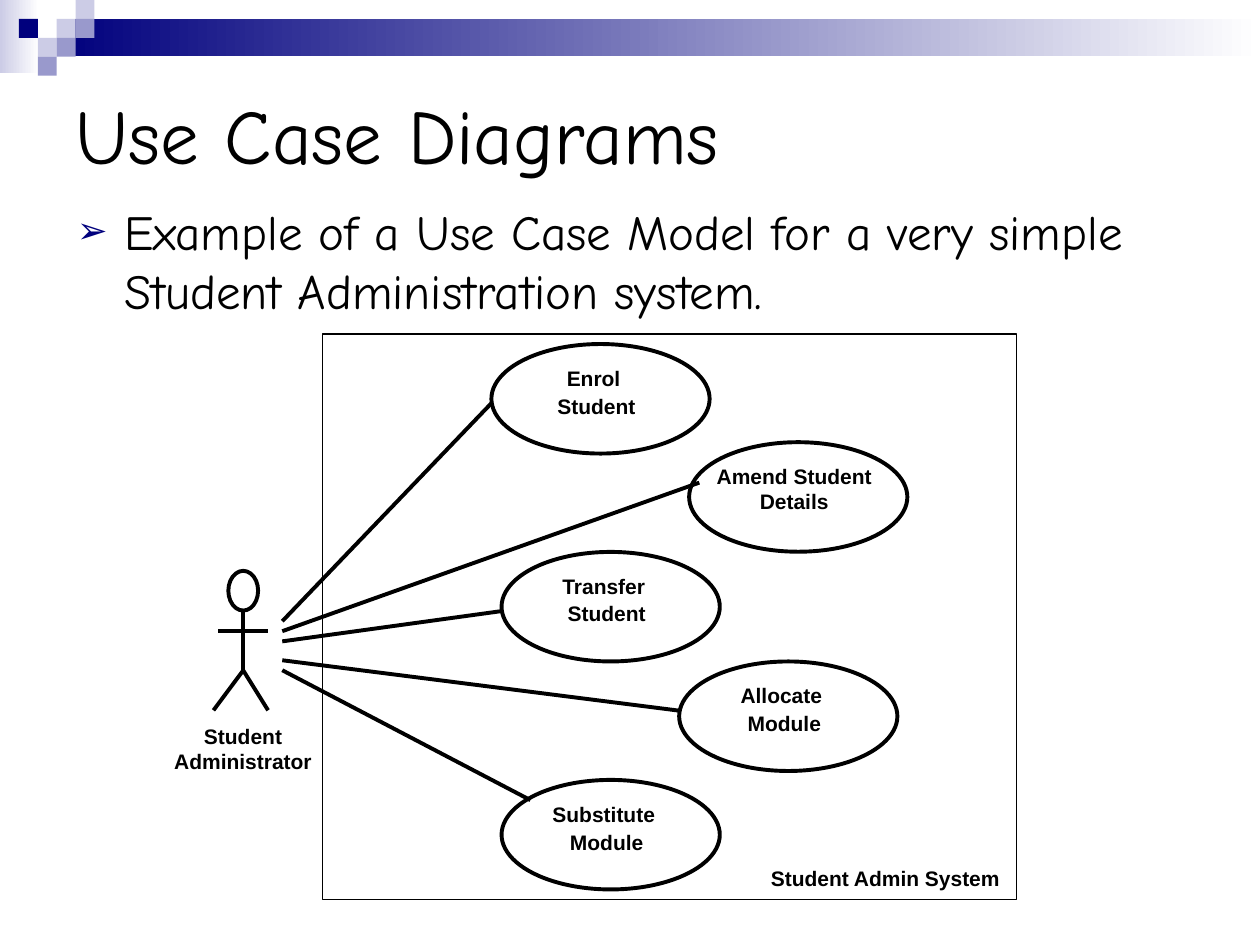
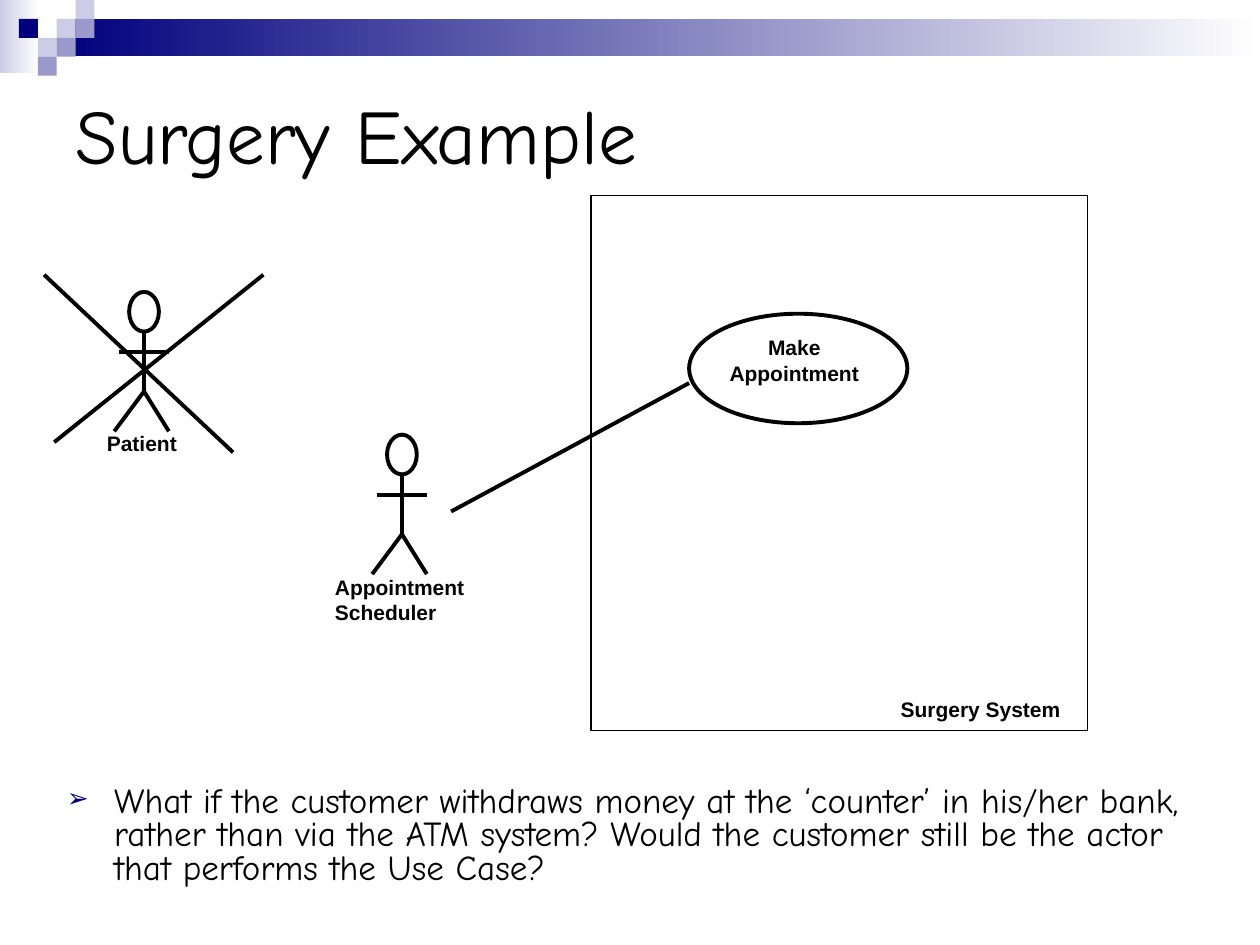
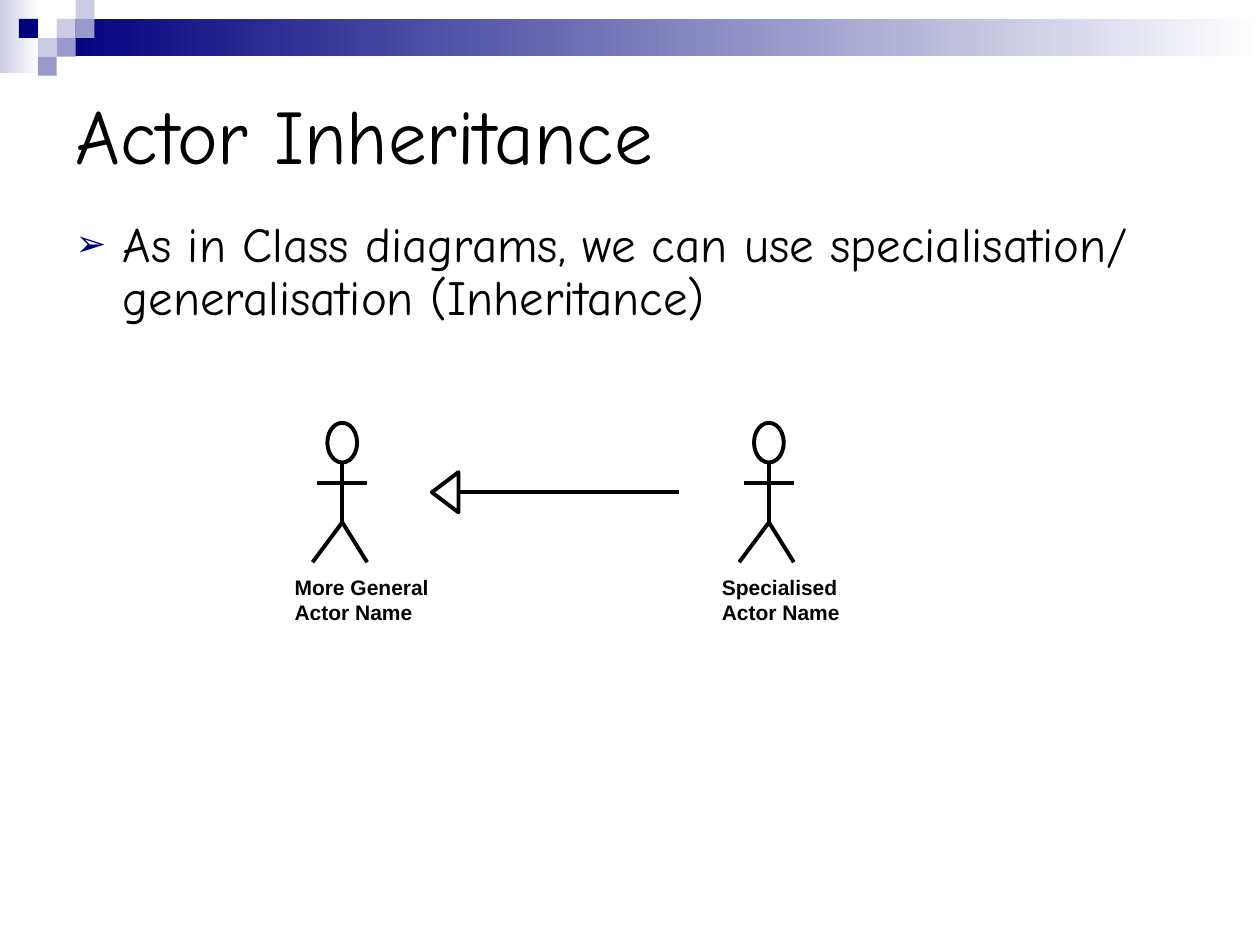
import pptx
import pptx.util
import pptx.dml.color
import pptx.enum.shapes
import pptx.enum.text
import pptx.oxml.ns
import lxml.etree

Pt = pptx.util.Pt
SHAPE = pptx.enum.shapes.MSO_SHAPE
ALIGN = pptx.enum.text.PP_ALIGN
AUTO = pptx.enum.text.MSO_AUTO_SIZE
qn = pptx.oxml.ns.qn
COLORS = {"ink": "000000", "navy": "00007D", "mid": "9999CC", "pale": "CCCCE6", "white": "FFFFFF"}
RGB = {name: pptx.dml.color.RGBColor.from_string(value) for name, value in COLORS.items()}


def write(tf, text, size=12, font="Arial", bold=False, align=ALIGN.LEFT, spacing=None, bullet=None):
    tf.word_wrap = True
    for i, line in enumerate(text.split("\n")):
        p = tf.add_paragraph() if i else tf.paragraphs[0]
        p.alignment = align
        p.space_before = Pt(1.5 if i else 0)
        if spacing:
            p.line_spacing = spacing
        if bullet:
            pPr = p._p.get_or_add_pPr()
            pPr.set("marL", str(Pt(27)))
            pPr.set("indent", str(Pt(-27)))
            clr = lxml.etree.SubElement(pPr, qn("a:buClr"))
            lxml.etree.SubElement(clr, qn("a:srgbClr"), val=COLORS["navy"])
            lxml.etree.SubElement(pPr, qn("a:buSzPct"), val="75000")
            lxml.etree.SubElement(pPr, qn("a:buChar"), char=bullet)
        r = p.add_run()
        r.text = line
        r.font.size = Pt(size)
        r.font.name = font
        r.font.bold = bold
        r.font.color.rgb = RGB["ink"]


def draw(shapes, kind, a, b, c, d, weight=2.25):
    if kind == "line":
        sp = shapes.add_connector(pptx.enum.shapes.MSO_CONNECTOR.STRAIGHT, Pt(a), Pt(b), Pt(c), Pt(d))
        lxml.etree.SubElement(sp._element.spPr, qn("a:effectLst"))
    else:
        sp = shapes.add_shape(kind, Pt(a), Pt(b), Pt(c), Pt(d))
        sp.shadow.inherit = False
        sp.fill.background()
    sp.line.color.rgb = RGB["ink"]
    sp.line.width = Pt(weight)
    return sp


SLIDES = [
    {
        "title": "Use Case Diagrams",
        "body": "Example of a Use Case Model for a very simple Student Administration system.",
        "body_at": (36.7, 111.6, 648, 408), "size": 28, "spacing": 1,
        "system": (184.3, 190.8, 396.7, 323.3),
        "actors": [(139, 326.2)],
        "cases": [
            ("Enrol \nStudent", 280.8, 196.6),
            ("Amend Student Details", 393.8, 252.7),
            ("Transfer \nStudent", 286.6, 315.4),
            ("Allocate \nModule", 388.1, 378),
            ("Substitute \nModule", 286.6, 445.7),
        ],
        "lines": [
            (161.3, 355, 280.8, 230.4),
            (161.3, 360.7, 399.6, 275.8),
            (161.3, 366.5, 286.6, 349.2),
            (161.3, 377.3, 388.1, 406.1),
            (161.3, 383, 303.1, 457.2),
        ],
        "labels": [
            ("Student Admin System", 433.4, 491, 147.6, ALIGN.LEFT),
            ("Student Administrator", 87.8, 409.7, 102.2, ALIGN.CENTER),
        ],
    },
    {
        "title": "Surgery Example",
        "body": "What if the customer withdraws money at the ‘counter’ in his/her bank, rather than via the ATM system? Would the customer still be the actor that performs the Use Case?",
        "body_at": (31, 445.7, 668.9, 85), "size": 20, "spacing": 0.8,
        "system": (337.7, 111.6, 283.7, 306),
        "actors": [(229.7, 248.4), (82.3, 166.8)],
        "cases": [("Make Appointment", 393.8, 179.3)],
        "lines": [
            (257.8, 292.3, 393.8, 218.9),
            (25.2, 157, 133.2, 258.5),
            (150.5, 157, 31, 252.7),
        ],
        "labels": [
            ("Surgery System", 507.6, 394.6, 113, ALIGN.LEFT),
            ("Appointment Scheduler", 184.3, 324.7, 102.2, ALIGN.LEFT),
            ("Patient", 54, 242.6, 61.9, ALIGN.LEFT),
        ],
    },
    {
        "title": "Actor Inheritance",
        "body": "As in Class diagrams, we can use specialisation/ generalisation (Inheritance)",
        "body_at": (36, 122.4, 669.6, 118.8), "size": 28, "spacing": 0.9,
        "actors": [(195.6, 241.6), (439.4, 241.6)],
        "lines": [(388.1, 281.3, 262.1, 281.3)],
        "triangle": (242.9, 273.7, 23, 15.2),
        "labels": [
            ("More General Actor Name", 161.3, 324.7, 96.5, ALIGN.LEFT),
            ("Specialised Actor Name", 405.4, 324.7, 85, ALIGN.LEFT),
        ],
    },
]

prs = pptx.Presentation()
prs.slide_width = Pt(720)
prs.slide_height = Pt(540)
layout = prs.slide_layouts[1]
title = layout.placeholders[0]
title.left, title.top, title.width, title.height = Pt(36), Pt(36), Pt(648), Pt(80.6)
title.text_frame.vertical_anchor = pptx.enum.text.MSO_ANCHOR.MIDDLE

slides = [prs.slides.add_slide(layout) for spec in SLIDES]

band = slides[0].shapes.add_group_shape()
for color, x, y, w, h in [("pale", 0, 0, 22.3, 41.8), ("navy", 32.4, 10.8, 687.6, 21.4)]:
    sp = draw(band.shapes, SHAPE.RECTANGLE, x, y, w, h)
    sp.line.fill.background()
    sp.fill.gradient()
    sp.fill.gradient_angle = 0
    for stop, name in zip(sp.fill.gradient_stops, (color, "white")):
        stop.color.rgb = RGB[name]
cell = 10.8
for color, col, row in [("pale", 3, 1), ("pale", 4, 0), ("mid", 4, 1), ("pale", 2, 2),
                        ("navy", 1, 1), ("mid", 3, 2), ("mid", 2, 3)]:
    sp = draw(band.shapes, SHAPE.RECTANGLE, col * cell, row * cell, cell, cell)
    sp.line.fill.background()
    sp.fill.solid()
    sp.fill.fore_color.rgb = RGB[color]
for number, el in enumerate(band.element.iter(qn("p:cNvPr")), 100):
    el.set("id", str(number))
prs.slide_master.shapes.element.insert(2, band.element)

for s, spec in zip(slides, SLIDES):
    write(s.shapes.title.text_frame, spec["title"], size=44, font="Comic Neue")
    body = s.placeholders[1]
    body.left, body.top, body.width, body.height = [Pt(v) for v in spec["body_at"]]
    body.text_frame.auto_size = AUTO.NONE
    write(body.text_frame, spec["body"], size=spec["size"], font="Comic Neue",
          spacing=spec["spacing"], bullet="➢")

    if "system" in spec:
        draw(s.shapes, SHAPE.RECTANGLE, *spec["system"], weight=0.75)
    if "triangle" in spec:
        draw(s.shapes, SHAPE.ISOSCELES_TRIANGLE, *spec["triangle"]).rotation = 270

    labels = list(spec["labels"])
    for text, x, y in spec.get("cases", []):
        draw(s.shapes, SHAPE.OVAL, x, y, 124.7, 62.6)
        labels.append((text, x, y + 8.6, 120.2, ALIGN.CENTER))

    for x, y in spec["actors"]:
        actor = s.shapes.add_group_shape()
        hip, foot, arm = y + 56.9, y + 79.7, y + 34.3
        draw(actor.shapes, SHAPE.OVAL, x - 8.5, y, 17, 22.7)
        for limb in [(x, y + 22.7, x, hip), (x - 17, foot, x, hip),
                     (x, hip, x + 14.2, foot), (x - 14.2, arm, x + 14.2, arm)]:
            draw(actor.shapes, "line", *limb)

    for ends in spec["lines"]:
        draw(s.shapes, "line", *ends)

    for text, x, y, w, align in labels:
        tb = s.shapes.add_textbox(Pt(x), Pt(y), Pt(w), Pt(21.6))
        tb.text_frame.auto_size = AUTO.SHAPE_TO_FIT_TEXT
        write(tb.text_frame, text, bold=True, align=align)

prs.save("out.pptx")
